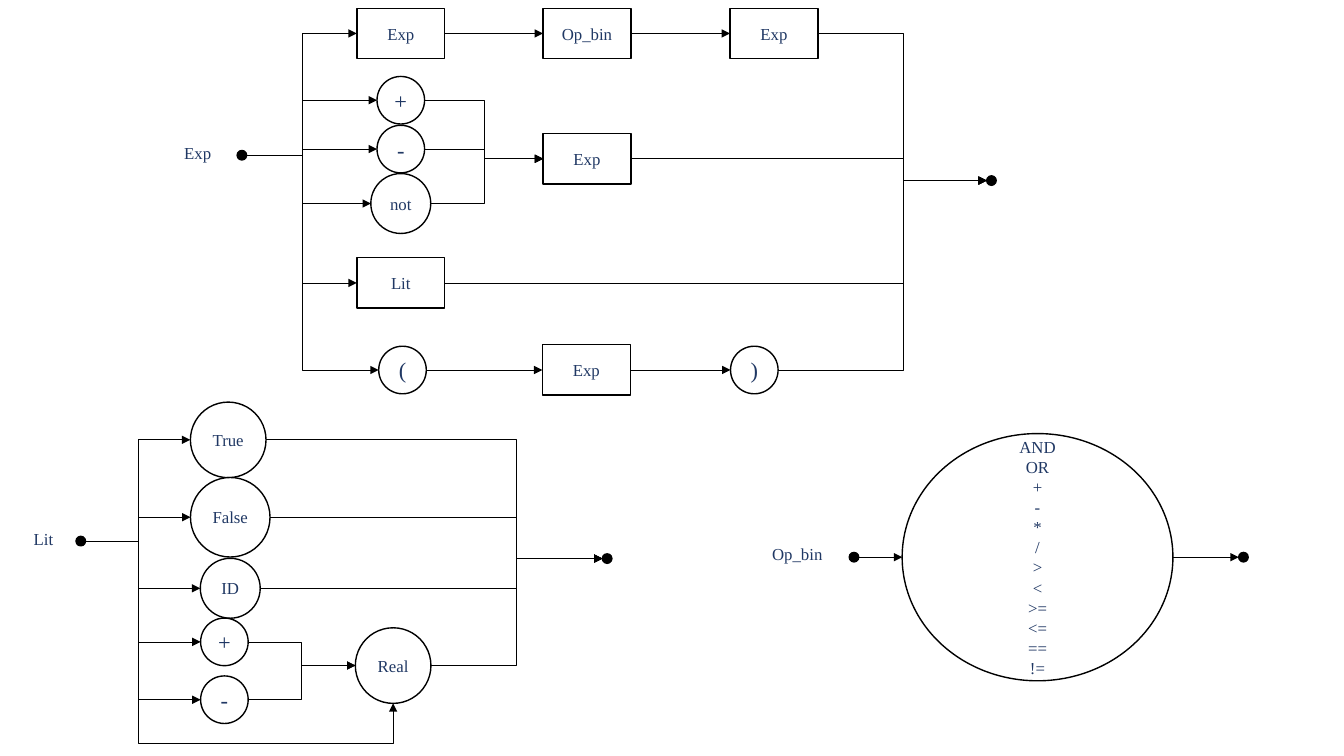
from dataclasses import dataclass
from typing import NamedTuple, Optional

from lxml.etree import SubElement
from pptx import Presentation
from pptx.dml.color import RGBColor
from pptx.enum.shapes import MSO_CONNECTOR, MSO_SHAPE
from pptx.enum.text import MSO_ANCHOR, PP_ALIGN
from pptx.oxml.ns import qn
from pptx.util import Pt


@dataclass(frozen=True)
class Theme:
    """Colours, type sizes and line widths of the slide."""
    font: str = "Times New Roman"
    ink: RGBColor = RGBColor(0x20, 0x38, 0x64)
    black: RGBColor = RGBColor(0, 0, 0)
    white: RGBColor = RGBColor(0xFF, 0xFF, 0xFF)
    word: float = 12
    symbol: float = 16
    outline: float = 1
    arrow: float = 0.5


class Kind(NamedTuple):
    """A family of nodes sharing preset, size and style."""
    preset: MSO_SHAPE
    width: float
    height: float
    text_size: float
    fill: RGBColor


class Node(NamedTuple):
    """A diagram node placed by its centre."""
    kind: Kind
    x: float
    y: float
    text: str = ""


class Link(NamedTuple):
    """An arrow between two nodes, turning at a shared bus."""
    start: str
    end: str
    bus: Optional[float] = None
    floor: Optional[float] = None


class Label(NamedTuple):
    """The name of a grammar rule, placed by its centre."""
    text: str
    x: float
    y: float


THEME = Theme()


def circle(size: float, text_size: float = THEME.word, fill: RGBColor = THEME.white) -> Kind:
    """Return a round kind of the given diameter."""
    return Kind(MSO_SHAPE.FLOWCHART_CONNECTOR, size, size, text_size, fill)


RULE = Kind(MSO_SHAPE.RECTANGLE, 62.8, 36, THEME.word, THEME.white)
OPERATORS = Kind(MSO_SHAPE.OVAL, 193.4, 176.6, THEME.word, THEME.white)
DOT = circle(6.8, fill=THEME.black)
SYMBOL = circle(34, THEME.symbol)
SHORT, LONG, LONGEST = circle(42.8), circle(54), circle(56.8)
SITES = {MSO_SHAPE.RECTANGLE: {"left": 1, "bottom": 2, "right": 3}}
ROUND_SITES = {"left": 2, "bottom": 4, "right": 6}

FIRST, SECOND, THIRD = 286.3, 419.3, 552.8
TOP_ROW, UNARY_ROW, PAREN_ROW = 23.9, 113.4, 264.3
OPERATOR_ROW = 398
NODES = {
    "exp in": Node(DOT, 172.8, 110.9),
    "left operand": Node(RULE, FIRST, TOP_ROW, "Exp"),
    "operator": Node(RULE, SECOND, TOP_ROW, "Op_bin"),
    "right operand": Node(RULE, THIRD, TOP_ROW, "Exp"),
    "plus": Node(SYMBOL, FIRST, 71.6, "+"),
    "minus": Node(SYMBOL, FIRST, 106.5, "-"),
    "not": Node(SHORT, FIRST, 145.4, "not"),
    "unary operand": Node(RULE, SECOND, UNARY_ROW, "Exp"),
    "literal": Node(RULE, FIRST, 202.1, "Lit"),
    "open": Node(SYMBOL, 287.5, PAREN_ROW, "("),
    "inner": Node(RULE, 418.8, PAREN_ROW, "Exp"),
    "close": Node(SYMBOL, 538.8, PAREN_ROW, ")"),
    "exp out": Node(DOT, 708.2, 129),
    "lit in": Node(DOT, 57.7, 386.5),
    "true": Node(LONG, 163, 314.2, "True"),
    "false": Node(LONGEST, 164.5, 369.5, "False"),
    "id": Node(SHORT, 164.5, 420.2, "ID"),
    "positive": Node(SYMBOL, 160.3, 458.5, "+"),
    "negative": Node(SYMBOL, 160.3, 499.8, "-"),
    "real": Node(LONG, 280.8, 475.4, "Real"),
    "lit out": Node(DOT, 433.7, 399),
    "op in": Node(DOT, 610, OPERATOR_ROW),
    "operators": Node(OPERATORS, 741.1, OPERATOR_ROW,
                      "AND\nOR\n+\n-\n*\n/\n>\n<\n>=\n<=\n==\n!="),
    "op out": Node(DOT, 888.2, OPERATOR_ROW),
}
LABELS = [Label("Exp", 141.2, 109.4), Label("Lit", 31, 385.2), Label("Op_bin", 569.5, 395.5)]


def fan_out(start: str, ends: list[str], bus: float) -> list[Link]:
    """Link one node to many through a bus."""
    return [Link(start, end, bus) for end in ends]


def fan_in(starts: list[str], end: str, bus: float) -> list[Link]:
    """Link many nodes to one through a bus."""
    return [Link(start, end, bus) for start in starts]


def chain(*names: str) -> list[Link]:
    """Link nodes in a row with straight arrows."""
    return [Link(start, end) for start, end in zip(names, names[1:])]


LIT_BUS = 98.6
LINKS = [
    *fan_out("exp in", ["left operand", "plus", "minus", "not", "literal", "open"], 216),
    *chain("left operand", "operator", "right operand"),
    *fan_in(["plus", "minus", "not"], "unary operand", 346),
    *chain("open", "inner", "close"),
    *fan_in(["right operand", "unary operand", "literal", "close"], "exp out", 645.2),
    *fan_out("lit in", ["true", "false", "id", "positive", "negative"], LIT_BUS),
    Link("lit in", "real", LIT_BUS, floor=530.9),
    *fan_in(["positive", "negative"], "real", 215.3),
    *fan_in(["true", "false", "id", "real"], "lit out", 369),
    *chain("op in", "operators", "op out"),
]


def apply(target: object, values: dict[str, object]) -> None:
    """Set each named attribute on the target."""
    for name, value in values.items():
        setattr(target, name, value)


def write(shape, text: str, size: float) -> None:
    """Fill a shape with centred paragraphs, one per line."""
    frame = shape.text_frame
    apply(frame, {"word_wrap": True, "vertical_anchor": MSO_ANCHOR.MIDDLE,
                  "margin_left": 0, "margin_right": 0, "margin_top": 0, "margin_bottom": 0})
    for index, line in enumerate(text.split("\n")):
        para = frame.paragraphs[0] if index == 0 else frame.add_paragraph()
        para.alignment = PP_ALIGN.CENTER
        span = para.add_run()
        span.text = line
        apply(span.font, {"name": THEME.font, "size": Pt(size)})
        span.font.color.rgb = THEME.ink


def draw_node(page, node: Node):
    """Draw a node and return its shape."""
    kind = node.kind
    shape = page.shapes.add_shape(
        kind.preset, Pt(node.x - kind.width / 2), Pt(node.y - kind.height / 2),
        Pt(kind.width), Pt(kind.height))
    shape.shadow.inherit = False
    shape.fill.solid()
    shape.fill.fore_color.rgb = kind.fill
    shape.line.color.rgb = THEME.black
    shape.line.width = Pt(THEME.outline)
    if node.text:
        write(shape, node.text, kind.text_size)
    return shape


def draw_label(page, label: Label) -> None:
    """Draw the name of a grammar rule."""
    width, height = 60, 21.6
    box = page.shapes.add_textbox(Pt(label.x - width / 2), Pt(label.y - height / 2),
                                  Pt(width), Pt(height))
    write(box, label.text, THEME.word)


def draw_link(page, link: Link, shapes: dict) -> None:
    """Draw an arrow attached to its two nodes."""
    start, end = NODES[link.start], NODES[link.end]
    x1, y1 = start.x + start.kind.width / 2, start.y
    x2, y2, side = end.x - end.kind.width / 2, end.y, "left"
    if link.floor is not None:
        x2, y2, side = end.x, end.y + end.kind.height / 2, "bottom"
    style = MSO_CONNECTOR.STRAIGHT if link.bus is None else MSO_CONNECTOR.ELBOW
    arrow = page.shapes.add_connector(style, Pt(x1), Pt(y1), Pt(x2), Pt(y2))
    arrow.line.color.rgb = THEME.black
    arrow.line.width = Pt(THEME.arrow)
    properties = arrow.element.spPr
    SubElement(properties.find(qn("a:ln")), qn("a:tailEnd"), type="triangle")
    SubElement(properties, qn("a:effectLst"))
    glue = arrow.element.find(f".//{qn('p:cNvCxnSpPr')}")
    for tag, name, edge in (("a:stCxn", link.start, "right"), ("a:endCxn", link.end, side)):
        site = SITES.get(NODES[name].kind.preset, ROUND_SITES)[edge]
        SubElement(glue, qn(tag), id=str(shapes[name].shape_id), idx=str(site))
    if link.bus is None:
        return
    geometry = properties.find(qn("a:prstGeom"))
    bends = {"adj1": (link.bus - x1) / (x2 - x1)}
    if link.floor is not None:
        geometry.set("prst", "bentConnector4")
        bends["adj2"] = (link.floor - y1) / (y2 - y1)
    guides = geometry.find(qn("a:avLst"))
    for name, ratio in bends.items():
        SubElement(guides, qn("a:gd"), name=name, fmla=f"val {round(ratio * 100000)}")


def main() -> None:
    """Build the slide of syntax diagrams."""
    deck = Presentation()
    apply(deck, {"slide_width": Pt(960), "slide_height": Pt(540)})
    page = deck.slides.add_slide(deck.slide_layouts[6])
    for label in LABELS:
        draw_label(page, label)
    shapes = {name: draw_node(page, node) for name, node in NODES.items()}
    for link in LINKS:
        draw_link(page, link, shapes)
    deck.save("out.pptx")


main()
